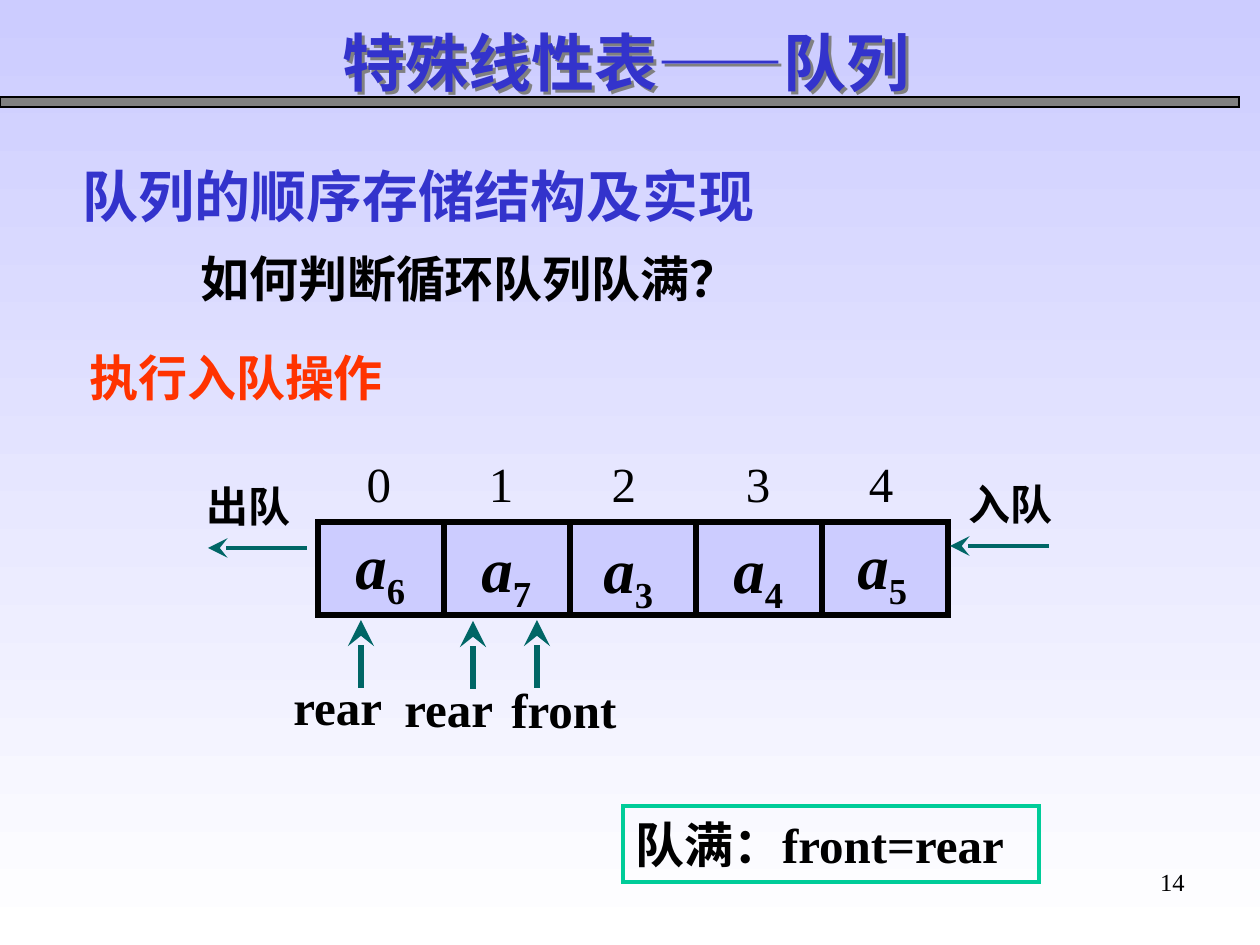
"""Build the slide on telling when a circular queue is full."""
from dataclasses import dataclass

from lxml.etree import SubElement
from pptx import Presentation
from pptx.dml.color import RGBColor as Rgb
from pptx.enum.shapes import MSO_CONNECTOR as Connector, MSO_SHAPE as Shape
from pptx.enum.text import MSO_ANCHOR as Anchor, PP_ALIGN as Align
from pptx.oxml.ns import qn
from pptx.util import Emu, Pt


@dataclass(frozen=True)
class Theme:
    font: str = "Times New Roman"
    black: str = "000000"
    blue: str = "3333CC"
    red: str = "FF3300"
    teal: str = "006666"
    green: str = "00CC99"
    gray: str = "808080"
    lilac: str = "CCCCFF"
    white: str = "FFFFFF"
    title: int = 36
    heading: int = 32
    body: int = 28
    caption: int = 24
    number: int = 14


THEME = Theme()
PX = 914400 / 126
SLIDE_SIZE = (1260, 945)
RULE = (0, 97, 1239, 10)
TITLE = ("特殊线性表——队列", (330, 17, 742, 88))
PAGE = ("14", (903, 861, 294, 66))
FULL_TEST = ("队满：front=rear", (623, 806, 416, 76))

BOLD_TEXTS = [
    ("队列的顺序存储结构及实现", (70, 155, 850, 79), THEME.heading, THEME.blue),
    ("如何判断循环队列队满？", (188, 242, 868, 72), THEME.body, THEME.black),
    ("执行入队操作", (77, 341, 428, 72), THEME.body, THEME.red),
    ("入队", (956, 472, 136, 63), THEME.caption, THEME.black),
    ("出队", (194, 474, 126, 63), THEME.caption, THEME.black),
    ("front", (499, 673, 132, 72), THEME.body, THEME.black),
    ("rear", (281, 670, 122, 72), THEME.body, THEME.black),
    ("rear", (392, 672, 122, 72), THEME.body, THEME.black),
]
CELL_LEFT, CELL_TOP, CELL_WIDTH, CELL_HEIGHT = 318, 522, 126, 93
INDEX_TOP, INDEX_WIDTH, INDEX_HEIGHT = 447, 60, 72
ITEM_WIDTH, ITEM_HEIGHT = 81, 88
QUEUE = [
    ("0", 379, "6", 343, 520),
    ("1", 501, "7", 469, 523),
    ("2", 624, "3", 591, 524),
    ("3", 758, "4", 721, 524),
    ("4", 881, "5", 845, 520),
]
ARROWS = [
    ((1049, 546), (950, 546), 2.25),
    ((307, 548), (208, 548), 2.25),
    ((537, 688), (537, 620), 3),
    ((361, 688), (361, 620), 3),
    ((473, 689), (473, 621), 3),
]


def emu(*lengths):
    return [Emu(round(length * PX)) for length in lengths]


def add_run(paragraph, text, size, color, **style):
    run = paragraph.add_run()
    run.text = text
    run.font.color.rgb = Rgb.from_string(color)
    for key, value in {"name": THEME.font, "size": Pt(size), **style}.items():
        setattr(run.font, key, value)
    return run


def add_label(slide, box, text, size, color, align=Align.LEFT, **style):
    label = slide.shapes.add_textbox(*emu(*box))
    label.text_frame.word_wrap = True
    paragraph = label.text_frame.paragraphs[0]
    paragraph.alignment = align
    add_run(paragraph, text, size, color, **style)
    return label


def add_box(slide, box, fill, line, width):
    rect = slide.shapes.add_shape(Shape.RECTANGLE, *emu(*box))
    rect.shadow.inherit = False
    if fill:
        rect.fill.solid()
        rect.fill.fore_color.rgb = Rgb.from_string(fill)
    else:
        rect.fill.background()
    rect.line.color.rgb = Rgb.from_string(line)
    rect.line.width = Pt(width)
    SubElement(rect.line._get_or_add_ln(), qn("a:miter"), lim="800000")
    return rect


def add_arrow(slide, start, end, width):
    arrow = slide.shapes.add_connector(Connector.STRAIGHT, *emu(*start, *end))
    arrow.line.color.rgb = Rgb.from_string(THEME.teal)
    arrow.line.width = Pt(width)
    SubElement(arrow.line._get_or_add_ln(), qn("a:tailEnd"), type="stealth", w="lg", len="lg")
    SubElement(arrow._element.spPr, qn("a:effectLst"))


def add_text_shadow(label):
    effects = SubElement(label._element.spPr, qn("a:effectLst"))
    shadow = SubElement(effects, qn("a:outerShdw"), dist="35921", dir="2700000")
    SubElement(shadow, qn("a:srgbClr"), val=THEME.gray)


def paint_background(slide):
    fill = slide.background.fill
    fill.gradient()
    fill.gradient_angle = 270
    for stop, position, color in zip(fill.gradient_stops, (0, 1), (THEME.lilac, THEME.white)):
        stop.position = position
        stop.color.rgb = Rgb.from_string(color)


def add_queue(slide):
    for place in range(len(QUEUE)):
        left = CELL_LEFT + place * CELL_WIDTH
        add_box(slide, (left, CELL_TOP, CELL_WIDTH, CELL_HEIGHT), THEME.lilac, THEME.black, 3)
    for index, center, subscript, left, top in QUEUE:
        index_box = (center - INDEX_WIDTH // 2, INDEX_TOP, INDEX_WIDTH, INDEX_HEIGHT)
        add_label(slide, index_box, index, THEME.body, THEME.black, Align.CENTER)
        item = add_label(slide, (left, top, ITEM_WIDTH, ITEM_HEIGHT), "a",
                         THEME.title, THEME.black, bold=True, italic=True)
        lowered = add_run(item.text_frame.paragraphs[0], subscript,
                          THEME.title, THEME.black, bold=True)
        lowered.font._element.set("baseline", "-25000")


def main():
    deck = Presentation()
    deck.slide_width, deck.slide_height = emu(*SLIDE_SIZE)
    slide = deck.slides.add_slide(deck.slide_layouts[6])
    paint_background(slide)
    add_box(slide, RULE, THEME.gray, THEME.black, 0.75)

    text, box = TITLE
    add_text_shadow(add_label(slide, box, text, THEME.title, THEME.blue, bold=True))
    for text, box, size, color in BOLD_TEXTS:
        add_label(slide, box, text, size, color, bold=True)
    add_queue(slide)
    for start, end, width in ARROWS:
        add_arrow(slide, start, end, width)

    text, box = FULL_TEST
    full_test = add_box(slide, box, None, THEME.green, 2.25)
    full_test.text_frame.vertical_anchor = Anchor.MIDDLE
    paragraph = full_test.text_frame.paragraphs[0]
    paragraph.alignment = Align.LEFT
    add_run(paragraph, text, THEME.body, THEME.black, bold=True)
    text, box = PAGE
    add_label(slide, box, text, THEME.number, THEME.black, Align.RIGHT)
    deck.save("out.pptx")


if __name__ == "__main__":
    main()
